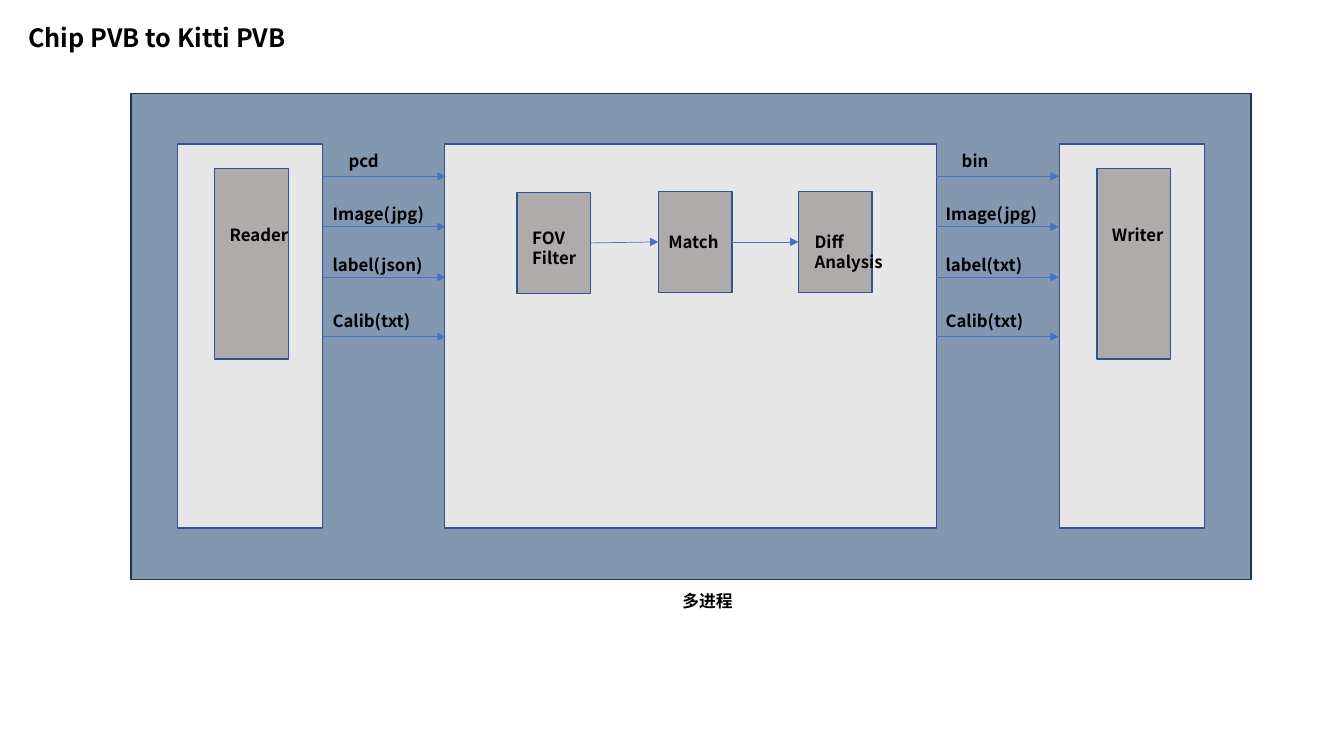
from pptx import Presentation, util as u
from pptx.dml.color import RGBColor
from pptx.enum import shapes, text
from pptx.oxml.ns import qn
from lxml import etree

FONT = "Noto Sans CJK SC"
EDGE = "325491"
TOP, TALL = 1.43, 3.81  # shared by the three panels


def tint(code):
    return RGBColor.from_string(code)


def rect(slide, x, y, w, h, fill, edge=EDGE):
    box = slide.shapes.add_shape(shapes.MSO_SHAPE.RECTANGLE,
                                 *map(u.Inches, (x, y, w, h)))
    box.shadow.inherit = False
    box.fill.solid()
    box.fill.fore_color.rgb = tint(fill)
    box.line.color.rgb = tint(edge)
    box.line.width = u.Pt(1)
    return box


def label(slide, x, y, lines, w=1.11, size=12):
    rows = lines.split("\n")
    box = slide.shapes.add_textbox(u.Inches(x), u.Inches(y), u.Inches(w),
                                   u.Inches(0.1 + len(rows) * size / 60))
    frame = box.text_frame
    frame.word_wrap = True
    frame.auto_size = text.MSO_AUTO_SIZE.SHAPE_TO_FIT_TEXT
    for i, row in enumerate(rows):
        para = frame.add_paragraph() if i else frame.paragraphs[0]
        para.line_spacing = u.Pt(size * 1.2)
        run = para.add_run()
        run.text = row
        run.font.name = FONT
        run.font.size = u.Pt(size)
        run.font.bold = True
        run.font.color.rgb = tint("000000")
        # Typeface for Chinese text
        east = etree.SubElement(run.font._element, qn("a:ea"))
        east.set("typeface", FONT)


def arrow(slide, x1, y1, x2, y2):
    line = slide.shapes.add_connector(shapes.MSO_CONNECTOR.STRAIGHT,
                                      *map(u.Inches, (x1, y1, x2, y2)))
    line.line.color.rgb = tint("4472C4")
    line.line.width = u.Pt(0.5)
    tip = etree.SubElement(line.line._get_or_add_ln(), qn("a:tailEnd"))
    tip.set("type", "triangle")
    etree.SubElement(line._element.spPr, qn("a:effectLst"))
    return line


def panel(slide, x, w):
    rect(slide, x, TOP, w, TALL, "E7E6E6")


def side(slide, x, name):
    """Outer panel with one tall block."""
    panel(slide, x, 1.44)
    rect(slide, x + 0.37, TOP + 0.24, 0.73, 1.89, "AFABAB")
    label(slide, x + 0.42, TOP + 0.75, name)


def core(slide, x):
    """Middle panel with the chain of steps."""
    panel(slide, x, 4.88)
    steps = [("FOV\nFilter", 0.72, 0.48, 0.05, 0.3),
             ("Match", 2.12, 0.47, 0, 0.35),
             ("Diff\nAnalysis", 3.51, 0.47, 0.06, 0.35)]
    last = None
    for name, dx, dy, tx, ty in steps:
        box = rect(slide, x + dx, TOP + dy, 0.73, 1, "AFABAB")
        if last is not None:
            link = arrow(slide, 0, 0, 1, 1)
            link.begin_connect(last, 3)
            link.end_connect(box, 1)
        last = box
    # Names lie above all blocks
    for name, dx, dy, tx, ty in steps:
        label(slide, x + dx + tx, TOP + dy + ty, name)


def flow(slide, x, names):
    """Four labelled arrows between two panels."""
    rows = [(1.75, 1.45, 0.16), (2.25, 1.97, 0),
            (2.75, 2.48, 0), (3.34, 3.03, 0)]
    for name, (y, ty, dx) in zip(names, rows):
        arrow(slide, x, y, x + 1.22, y)
        label(slide, x + dx, ty, name)


def main():
    deck = Presentation()
    deck.slide_width, deck.slide_height = u.Inches(13.33), u.Inches(7.5)
    slide = deck.slides.add_slide(deck.slide_layouts[6])

    # Title, frame and caption
    label(slide, 0.18, 0.17, "Chip PVB to Kitti PVB", 6.67, 18)
    rect(slide, 1.3, 0.93, 11.11, 4.82, "8497B0", "1E3256")
    label(slide, 6.67, 5.81, "多进程")

    # Panels
    side(slide, 1.76, "Reader")
    core(slide, 4.41)
    side(slide, 10.51, "Writer")

    # Data passed between panels
    flow(slide, 3.2, ["pcd", "Image(jpg)", "label(json)", "Calib(txt)"])
    flow(slide, 9.28, ["bin", "Image(jpg)", "label(txt)", "Calib(txt)"])
    deck.save("out.pptx")


if __name__ == "__main__":
    main()
